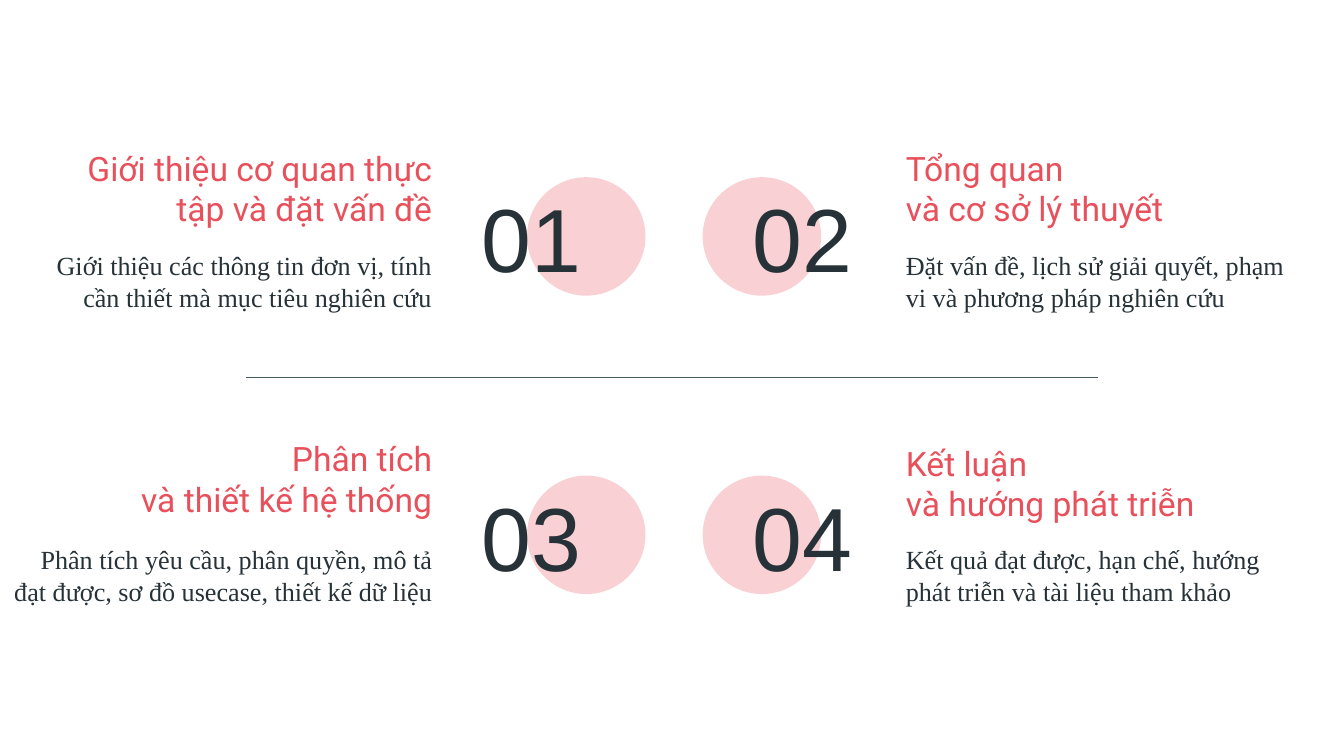
from lxml import etree
from pptx import Presentation
from pptx.dml.color import RGBColor
from pptx.enum import shapes, text
from pptx.oxml import ns
from pptx.util import Cm, Pt

RED, DARK, GREY = "E8505B", "263238", "455A64"
LEFT, RIGHT = text.PP_ALIGN.LEFT, text.PP_ALIGN.RIGHT
TOP, MIDDLE, BOTTOM = (text.MSO_ANCHOR.TOP, text.MSO_ANCHOR.MIDDLE,
                       text.MSO_ANCHOR.BOTTOM)

# Content in reading order: number, heading lines, description,
# heading top, heading width, description width (cm)
TOPICS = [
    ("01", ["Giới thiệu cơ quan thực tập và đặt vấn đề"],
     "Giới thiệu các thông tin đơn vị, tính cần thiết mà mục tiêu nghiên cứu",
     3.45, 8.05, 7.82),
    ("02", ["Tổng quan", "và cơ sở lý thuyết"],
     "Đặt vấn đề, lịch sử giải quyết, phạm vi và phương pháp nghiên cứu",
     3.45, 6.58, 7.82),
    ("03", ["Phân tích", "và thiết kế hệ thống"],
     "Phân tích yêu cầu, phân quyền, mô tả đạt được, sơ đồ usecase, "
     "thiết kế dữ liệu",
     8.94, 8.05, 8.43),
    ("04", ["Kết luận", "và hướng phát triễn"],
     "Kết quả đạt được, hạn chế, hướng phát triễn và tài liệu tham khảo",
     9.02, 7.82, 7.34),
]

# Columns: circle left, number left, number alignment, text edge, text alignment
COLUMNS = [(9.96, 8.86, LEFT, 8.42, RIGHT), (13.28, 13.03, RIGHT, 16.87, LEFT)]
# Rows: circle top, number top, description top
ROWS = [(3.35, 3.43, 4.47), (8.99, 9.09, 10.03)]
CIRCLE = 2.24


def rgb(value):
    return RGBColor.from_string(value)


def add_circle(s, x, y):
    sp = s.shapes.add_shape(shapes.MSO_SHAPE.OVAL, Cm(x), Cm(y),
                            Cm(CIRCLE), Cm(CIRCLE))
    sp.shadow.inherit = False
    sp.line.fill.background()
    sp.fill.solid()
    sp.fill.fore_color.rgb = rgb(RED)
    color = sp.fill._xPr.find(".//" + ns.qn("a:srgbClr"))
    etree.SubElement(color, ns.qn("a:alpha"), val="26000")


def write(s, box, lines, font, size, color, align, anchor, sp=None):
    x, y, w, h = (Cm(v) for v in box)
    if sp is None:
        sp = s.shapes.add_textbox(x, y, w, h)
    else:
        sp.left, sp.top, sp.width, sp.height = x, y, w, h
    tf = sp.text_frame
    tf.word_wrap = True
    tf.auto_size = text.MSO_AUTO_SIZE.NONE
    tf.vertical_anchor = anchor
    tf.margin_left = tf.margin_right = Cm(0.25)
    tf.margin_top = tf.margin_bottom = Cm(0.25)
    p = tf.paragraphs[0]
    p.alignment = align
    for i, line in enumerate(lines):
        if i:
            p.add_line_break()
        r = p.add_run()
        r.text = line
        r.font.name, r.font.size = font, Pt(size)
        r.font.color.rgb = rgb(color)


prs = Presentation()
prs.slide_width, prs.slide_height = Cm(25.4), Cm(14.29)
s = prs.slides.add_slide(prs.slide_layouts[5])

# Four topics in a two by two grid
for i, (number, heading, body, head_y, head_w, body_w) in enumerate(TOPICS):
    circle_x, num_x, num_align, edge, align = COLUMNS[i % 2]
    circle_y, num_y, body_y = ROWS[i // 2]
    head_x, body_x = (max(edge - w, 0) if align == RIGHT else edge
                      for w in (head_w, body_w))
    add_circle(s, circle_x, circle_y)
    write(s, (num_x, num_y, 3.33, 2.08), [number], "Arial", 48, DARK,
          num_align, MIDDLE)
    write(s, (head_x, head_y, head_w, 1.12), heading, "Roboto", 18, RED,
          align, BOTTOM, s.shapes.title if i == 0 else None)
    write(s, (body_x, body_y, body_w, 1.4), [body], "Times New Roman", 14,
          DARK, align, TOP)

# Divider between the rows
line = s.shapes.add_connector(shapes.MSO_CONNECTOR.STRAIGHT,
                              Cm(4.65), Cm(7.14), Cm(20.75), Cm(7.14))
line.line.color.rgb = rgb(GREY)
line.line.width = Pt(0.75)
etree.SubElement(line._element.spPr, ns.qn("a:effectLst"))

prs.save("out.pptx")
